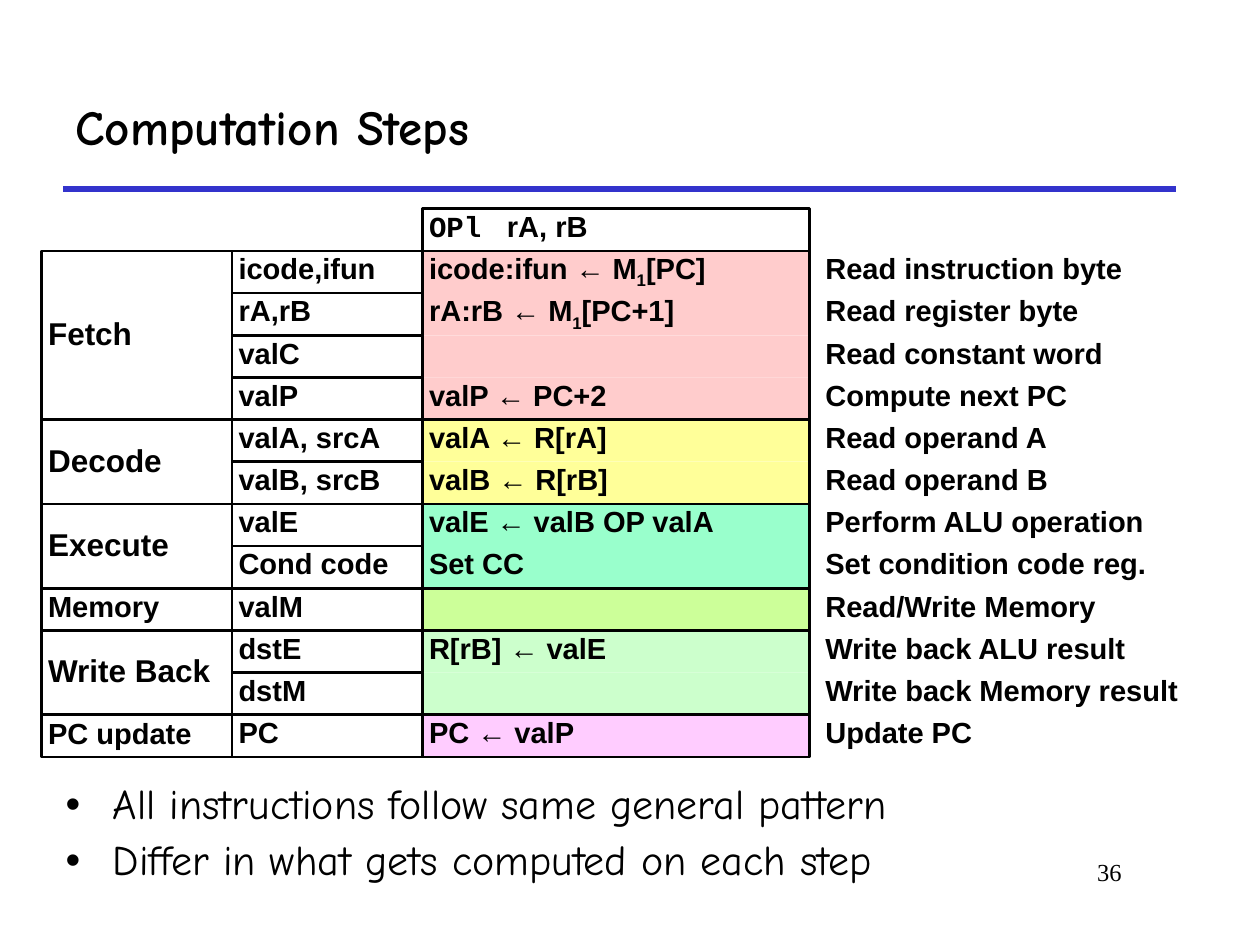
from dataclasses import dataclass

from lxml import etree
from pptx import Presentation
from pptx import util as u
from pptx.dml.color import RGBColor
from pptx.enum import shapes, text
from pptx.oxml.ns import qn


@dataclass(frozen=True)
class Theme:
    ink: str = "000000"
    rule: str = "3333CC"
    fetch: str = "FFCCCC"
    decode: str = "FFFF99"
    execute: str = "99FFCC"
    memory: str = "CCFF99"
    write_back: str = "CCFFCC"
    update: str = "FFCCFF"
    heading_font: str = "Comic Neue"
    cell_font: str = "Arial"
    code_font: str = "Courier New"
    number_font: str = "Times New Roman"
    title_size: float = 28
    body_size: float = 24
    stage_size: float = 18
    cell_size: float = 16.6
    number_size: float = 14
    border: float = 1.5


THEME = Theme()

# Each stage: name, fill, steps of (register, computation, description).
# Text between bars is set as a subscript.
STAGES = [
    ("Fetch", THEME.fetch, [
        ("icode,ifun", "icode:ifun ← M|1|[PC]", "Read instruction byte"),
        ("rA,rB", "rA:rB ← M|1|[PC+1]", "Read register byte"),
        ("valC", "", "Read constant word"),
        ("valP", "valP ← PC+2", "Compute next PC")]),
    ("Decode", THEME.decode, [
        ("valA, srcA", "valA ← R[rA]", "Read operand A"),
        ("valB, srcB", "valB ← R[rB]", "Read operand B")]),
    ("Execute", THEME.execute, [
        ("valE", "valE ← valB OP valA", "Perform ALU operation"),
        ("Cond code", "Set CC", "Set condition code reg.")]),
    ("Memory", THEME.memory, [("valM", "", "Read/Write Memory")]),
    ("Write Back", THEME.write_back, [
        ("dstE", "R[rB] ← valE", "Write back ALU result"),
        ("dstM", "", "Write back Memory result")]),
    ("PC update", THEME.update, [("PC", "PC ← valP", "Update PC")]),
]
BULLETS = ["All instructions follow same general pattern",
           "Differ in what gets computed on each step"]

# Grid in centimetres: (left, width) of each column
STAGE_COLUMN = (0.84, 3.84)
REGISTER_COLUMN = (4.68, 3.84)
COMPUTATION_COLUMN = (8.52, 7.8)
DESCRIPTION_COLUMN = (16.51, 8.46)
GRID_TOP, ROW = 4.21, 0.85


class SlideBuilder:
    def __init__(self, slide, theme):
        self.slide = slide
        self.theme = theme

    def add_run(self, paragraph, words, size, font, bold=False, subscript=False):
        run = paragraph.add_run()
        run.text = words
        run.font.size = u.Pt(size)
        run.font.name = font
        run.font.bold = bold
        run.font.color.rgb = RGBColor.from_string(self.theme.ink)
        if subscript:
            run._r.get_or_add_rPr().set("baseline", "-25000")

    def place(self, shape, left, top, width, height):
        shape.left, shape.top = u.Cm(left), u.Cm(top)
        shape.width, shape.height = u.Cm(width), u.Cm(height)

    def title(self, words):
        shape = self.slide.shapes.title
        self.place(shape, 1.27, 1.27, 22.43, 2.54)
        shape.text_frame.vertical_anchor = text.MSO_ANCHOR.MIDDLE
        paragraph = shape.text_frame.paragraphs[0]
        paragraph.alignment = text.PP_ALIGN.LEFT
        self.add_run(paragraph, words, self.theme.title_size,
                     self.theme.heading_font, bold=True)

    def bullets(self, items):
        shape = self.slide.placeholders[1]
        self.place(shape, 1.07, 15.67, 23.06, 2.77)
        frame = shape.text_frame
        frame.auto_size = text.MSO_AUTO_SIZE.NONE
        for index, words in enumerate(items):
            paragraph = frame.add_paragraph() if index else frame.paragraphs[0]
            properties = paragraph._p.get_or_add_pPr()
            properties.set("marL", str(u.Cm(0.95)))
            properties.set("indent", str(-u.Cm(0.95)))
            etree.SubElement(properties, qn("a:buChar")).set("char", "•")
            paragraph.line_spacing = 0.9
            paragraph.space_before = u.Pt(6 if index else 0)
            self.add_run(paragraph, words, self.theme.body_size,
                         self.theme.heading_font)

    def rule(self, left, right, top):
        line = self.slide.shapes.add_connector(
            shapes.MSO_CONNECTOR.STRAIGHT,
            u.Cm(left), u.Cm(top), u.Cm(right), u.Cm(top))
        line.line.color.rgb = RGBColor.from_string(self.theme.rule)
        line.line.width = u.Pt(3)
        etree.SubElement(line._element.spPr, qn("a:effectLst"))

    def page_number(self, words):
        shape = self.slide.shapes.add_textbox(
            u.Cm(19.25), u.Cm(17.15), u.Cm(3.61), u.Cm(1.27))
        shape.text_frame.word_wrap = True
        paragraph = shape.text_frame.paragraphs[0]
        paragraph.alignment = text.PP_ALIGN.RIGHT
        self.add_run(paragraph, words, self.theme.number_size,
                     self.theme.number_font)

    def cell_paragraph(self, shape, spacing, anchor=text.MSO_ANCHOR.TOP):
        frame = shape.text_frame
        frame.word_wrap = True
        frame.vertical_anchor = anchor
        frame.margin_left = frame.margin_right = u.Cm(0.13)
        frame.margin_top = frame.margin_bottom = u.Cm(0.13)
        paragraph = frame.paragraphs[0]
        paragraph.alignment = text.PP_ALIGN.LEFT
        paragraph.line_spacing = spacing
        return paragraph

    def box(self, column, row, rows=1, fill=None, outlined=True):
        left, width = column
        shape = self.slide.shapes.add_shape(
            shapes.MSO_SHAPE.RECTANGLE, u.Cm(left), u.Cm(GRID_TOP + row * ROW),
            u.Cm(width), u.Cm(rows * ROW))
        shape.shadow.inherit = False
        if fill:
            shape.fill.solid()
            shape.fill.fore_color.rgb = RGBColor.from_string(fill)
        else:
            shape.fill.background()
        if outlined:
            shape.line.color.rgb = RGBColor.from_string(self.theme.ink)
            shape.line.width = u.Pt(self.theme.border)
        else:
            shape.line.fill.background()
        return shape

    def cell_text(self, shape, words):
        if not words:
            return
        parts = words.split("|")
        paragraph = self.cell_paragraph(shape, 0.7 if len(parts) > 1 else 0.8)
        for index, part in enumerate(parts):
            self.add_run(paragraph, part, self.theme.cell_size,
                         self.theme.cell_font, bold=True, subscript=index % 2 == 1)

    def header(self):
        paragraph = self.cell_paragraph(self.box(COMPUTATION_COLUMN, 0), 0.8)
        tabs = etree.SubElement(paragraph._p.get_or_add_pPr(), qn("a:tabLst"))
        stop = etree.SubElement(tabs, qn("a:tab"))
        stop.set("pos", str(u.Cm(1.57)))
        stop.set("algn", "l")
        size = self.theme.cell_size
        self.add_run(paragraph, "OPl", size, self.theme.code_font, bold=True)
        self.add_run(paragraph, "\trA, rB", size, self.theme.cell_font, bold=True)

    def description(self, words, row):
        left, width = DESCRIPTION_COLUMN
        shape = self.slide.shapes.add_textbox(
            u.Cm(left), u.Cm(GRID_TOP + row * ROW), u.Cm(width), u.Cm(ROW))
        self.cell_text(shape, words)

    def stage(self, name, fill, steps, first_row):
        single = len(steps) == 1
        for row, (register, computation, note) in enumerate(steps, first_row):
            self.cell_text(self.box(COMPUTATION_COLUMN, row, fill=fill,
                                    outlined=single), computation)
            self.cell_text(self.box(REGISTER_COLUMN, row), register)
            self.description(note, row)
        if not single:
            self.box(COMPUTATION_COLUMN, first_row, len(steps))
        label = self.box(STAGE_COLUMN, first_row, len(steps))
        paragraph = self.cell_paragraph(label, 0.8 if single else 0.9,
                                        text.MSO_ANCHOR.MIDDLE)
        size = self.theme.cell_size if single else self.theme.stage_size
        self.add_run(paragraph, name, size, self.theme.cell_font, bold=True)


def main():
    presentation = Presentation()
    presentation.slide_width, presentation.slide_height = u.Cm(25.4), u.Cm(19.05)
    slide = presentation.slides.add_slide(presentation.slide_layouts[1])
    builder = SlideBuilder(slide, THEME)

    # Title, rule, page number and bullets
    builder.rule(1.27, 23.7, 3.81)
    builder.page_number("36")
    builder.title("Computation Steps")
    builder.bullets(BULLETS)

    # Grid of stages
    builder.header()
    row = 1
    for name, fill, steps in STAGES:
        builder.stage(name, fill, steps, row)
        row += len(steps)

    presentation.save("out.pptx")


if __name__ == "__main__":
    main()
